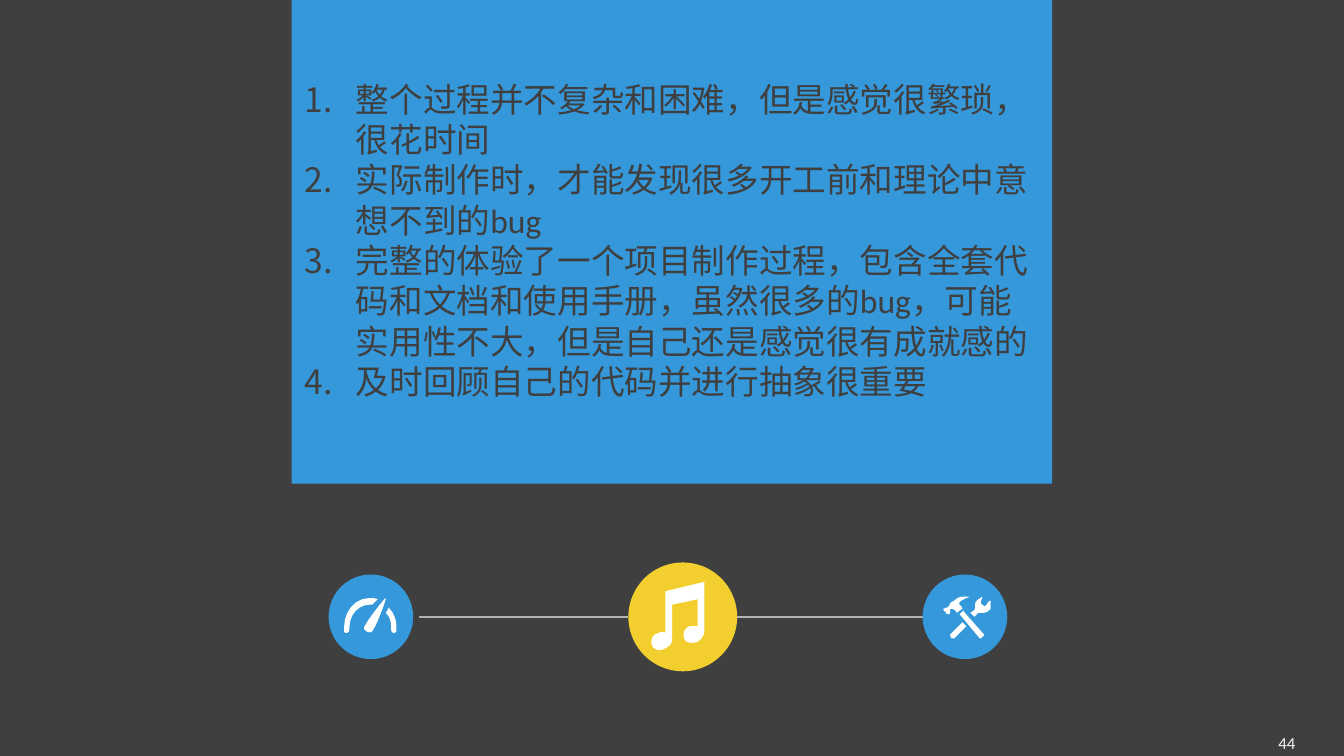
import pptx
import pptx.util
import pptx.dml.color
import pptx.enum.shapes
import pptx.enum.text
import pptx.oxml.ns
from lxml import etree

Inches = pptx.util.Inches
SHAPES = pptx.enum.shapes.MSO_SHAPE
ALIGN = pptx.enum.text.PP_ALIGN
MIDDLE = pptx.enum.text.MSO_ANCHOR.MIDDLE

COLORS = {
    "dark": "3F3F3F", "blue": "3598DB", "yellow": "F3CE2F",
    "line": "B2B2B2", "white": "FFFFFF", "number": "F0F6F4",
}
LESSONS = [
    "整个过程并不复杂和困难，但是感觉很繁琐，很花时间",
    "实际制作时，才能发现很多开工前和理论中意想不到的bug",
    "完整的体验了一个项目制作过程，包含全套代码和文档和使用手册，虽然很多的bug，可能实用性不大，但是自己还是感觉很有成就感的",
    "及时回顾自己的代码并进行抽象很重要",
]
PAGE_NUMBER = "44"
PAGE_WIDTH = Inches(10)
PAGE_HEIGHT = PAGE_WIDTH * 9 // 16
ROW_Y = 4.59
INDENT = 0.38
CURVE_STEPS = 6
UNITS_PER_INCH = 100

GAUGE = [
    [(16, 21), (14, 23, 15, 25, 17, 26), (19, 27, 21, 27, 22, 24),
     (24, 22, 32, 1, 31, 1), (31, 0, 17, 18, 16, 21)],
    [(19, 6), (21, 6), (22, 5, 24, 3, 25, 2), (23, 1, 21, 1, 19, 1),
     (8, 1, 0, 11, 0, 23), (0, 25), (0, 26, 0, 27, 2, 27),
     (3, 27, 4, 26, 4, 24), (4, 23), (4, 13, 11, 6, 19, 6)],
    [(33, 8), (33, 9, 32, 11, 31, 12), (34, 15, 35, 18, 35, 23), (35, 24),
     (35, 26, 36, 27, 37, 27), (38, 27, 39, 26, 39, 25), (39, 23),
     (39, 17, 37, 12, 33, 8)],
]
MUSIC = [
    [(11, 7), (11, 38), (10, 37, 8, 37, 6, 38), (1, 39, 0, 44, 1, 47),
     (2, 50, 6, 52, 10, 50), (14, 48, 16, 46, 16, 43), (16, 17), (35, 13),
     (35, 33), (33, 33, 32, 33, 29, 33), (25, 35, 24, 38, 25, 42),
     (26, 45, 29, 46, 34, 45), (37, 44, 40, 40, 40, 37), (40, 0)],
]
TOOLS = [
    [(5, 9), (7, 9, 8, 9, 10, 12), (11, 11), (14, 9), (14, 8, 13, 7, 12, 6),
     (9, 3, 21, 0, 19, 0), (14, 0), (11, 0, 9, 2, 8, 3), (5, 4, 5, 5, 5, 5),
     (4, 6, 5, 6, 4, 7), (2, 9, 2, 8, 2, 8), (0, 9), (0, 10), (2, 12),
     (2, 13, 3, 13, 4, 13), (5, 12)],
    [(15, 11), (15, 10, 15, 10, 14, 11), (12, 13), (27, 31), (28, 31),
     (30, 29), (30, 28)],
    [(35, 3), (34, 3), (32, 6), (32, 6, 31, 8, 29, 6), (27, 5, 28, 4, 28, 3),
     (29, 0), (29, 0, 25, 2, 24, 4), (23, 6, 24, 8, 23, 10), (20, 12),
     (23, 15), (26, 12), (26, 12, 28, 12, 29, 12), (32, 12, 33, 11, 35, 9),
     (35, 8, 35, 4, 35, 3)],
    [(5, 28), (5, 29), (6, 31), (8, 31), (17, 22), (14, 19)],
]
MEDALLIONS = [
    {"center": 2.76, "size": 0.63, "color": "blue", "icon": GAUGE, "at": (2.56, 4.44)},
    {"center": 5.08, "size": 0.81, "color": "yellow", "icon": MUSIC, "at": (4.84, 4.33)},
    {"center": 7.18, "size": 0.63, "color": "blue", "icon": TOOLS, "at": (7.02, 4.44)},
]
LINE_STARTS = [3.12, 5.47]
LINE_LENGTH = 1.55


def rgb(name):
    return pptx.dml.color.RGBColor.from_string(COLORS[name])


def apply(target, values):
    for name, value in values.items():
        setattr(target, name, value)


def paint(shape, color):
    shape.shadow.inherit = False
    shape.fill.solid()
    shape.fill.fore_color.rgb = rgb(color)
    shape.line.fill.background()


def write(para, text, size, color):
    span = para.add_run()
    span.text = text
    apply(span.font, {"name": "Calibri", "size": pptx.util.Pt(size)})
    span.font.color.rgb = rgb(color)


def number_paragraph(para):
    props = para._p.get_or_add_pPr()
    props.set("marL", str(Inches(INDENT)))
    props.set("indent", str(-Inches(INDENT)))
    etree.SubElement(props, pptx.oxml.ns.qn("a:buFont"), typeface="+mj-lt")
    etree.SubElement(props, pptx.oxml.ns.qn("a:buAutoNum"), type="arabicPeriod")


def trace(outline):
    points = [outline[0]]
    for step in outline[1:]:
        if len(step) == 2:
            points.append(step)
            continue
        controls = [points[-1], step[:2], step[2:4], step[4:]]
        for count in range(1, CURVE_STEPS + 1):
            t = count / CURVE_STEPS
            weights = [(1 - t) ** 3, 3 * t * (1 - t) ** 2, 3 * t * t * (1 - t), t ** 3]
            points.append(tuple(
                sum(w * c[axis] for w, c in zip(weights, controls)) for axis in (0, 1)))
    return [(Inches(x / UNITS_PER_INCH), Inches(y / UNITS_PER_INCH)) for x, y in points]


def draw_icon(page, outlines, left, top):
    first, *others = [trace(outline) for outline in outlines]
    builder = page.shapes.build_freeform(*first[0], scale=1.0)
    builder.add_line_segments(first[1:], close=True)
    for points in others:
        builder.move_to(*points[0])
        builder.add_line_segments(points[1:], close=True)
    paint(builder.convert_to_shape(Inches(left), Inches(top)), "white")


def draw_line(page, start):
    line = page.shapes.add_connector(
        pptx.enum.shapes.MSO_CONNECTOR.STRAIGHT,
        Inches(start), Inches(ROW_Y), Inches(start + LINE_LENGTH), Inches(ROW_Y))
    line.line.color.rgb = rgb("line")
    line.line.width = pptx.util.Pt(0.75)
    etree.SubElement(line._element.spPr, pptx.oxml.ns.qn("a:effectLst"))


def draw_lessons(page):
    panel = page.shapes.add_shape(
        SHAPES.RECTANGLE, Inches(2.17), Inches(-0.03), Inches(5.66), Inches(3.63))
    paint(panel, "blue")
    frame = panel.text_frame
    apply(frame, {"word_wrap": True, "vertical_anchor": MIDDLE})
    for index, lesson in enumerate(LESSONS):
        para = frame.add_paragraph() if index else frame.paragraphs[0]
        number_paragraph(para)
        para.alignment = ALIGN.LEFT
        write(para, lesson, 18, "dark")


def draw_page_number(page):
    box = page.shapes.add_textbox(Inches(9.18), Inches(5.33), Inches(0.79), Inches(0.39))
    apply(box.text_frame, {
        "word_wrap": True, "vertical_anchor": MIDDLE,
        "margin_left": Inches(0.07), "margin_right": Inches(0.07),
        "margin_top": Inches(0.04), "margin_bottom": Inches(0.04)})
    para = box.text_frame.paragraphs[0]
    para.alignment = ALIGN.CENTER
    write(para, PAGE_NUMBER, 9, "number")


def main():
    deck = pptx.Presentation()
    apply(deck, {"slide_width": PAGE_WIDTH, "slide_height": PAGE_HEIGHT})
    page = deck.slides.add_slide(deck.slide_layouts[6])
    page.background.fill.solid()
    page.background.fill.fore_color.rgb = rgb("dark")
    draw_page_number(page)
    for start in LINE_STARTS:
        draw_line(page, start)
    draw_lessons(page)
    for item in MEDALLIONS:
        size = item["size"]
        circle = page.shapes.add_shape(
            SHAPES.OVAL, Inches(item["center"] - size / 2), Inches(ROW_Y - size / 2),
            Inches(size), Inches(size))
        paint(circle, item["color"])
    for item in MEDALLIONS:
        draw_icon(page, item["icon"], *item["at"])
    deck.save("out.pptx")


if __name__ == "__main__":
    main()
